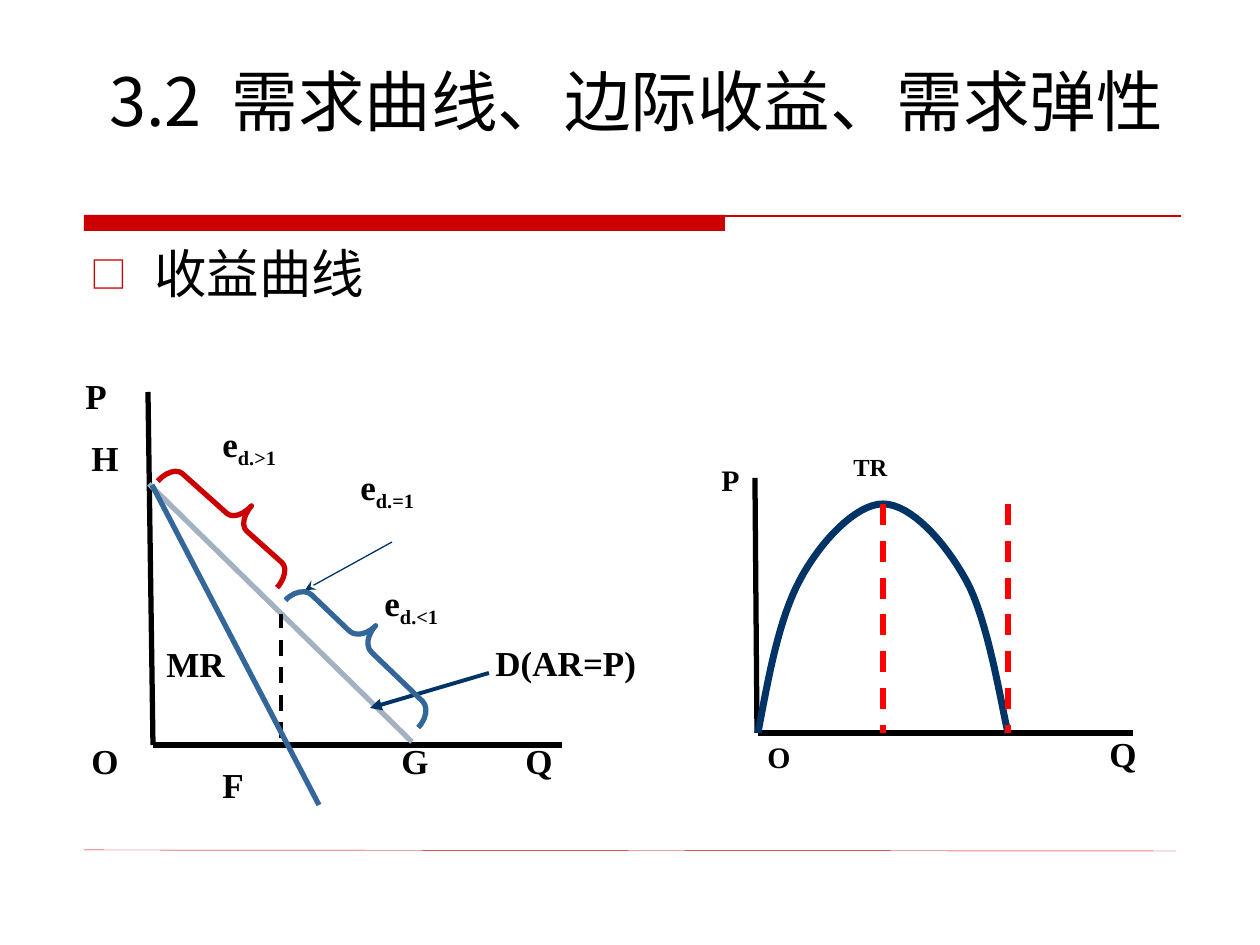
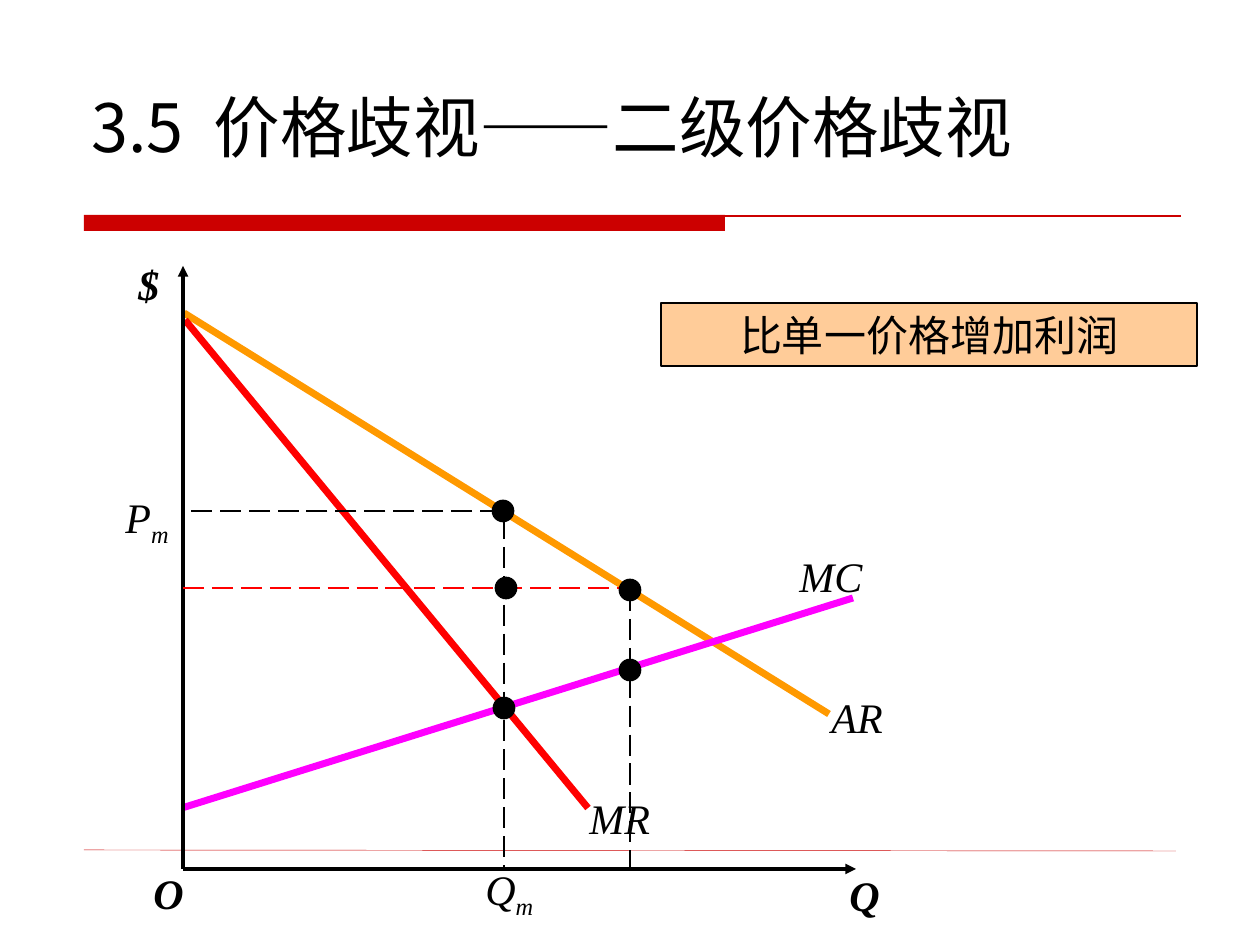
"""Build two economics slides: revenue curves and second-degree price discrimination."""
from lxml.etree import SubElement
from pptx import Presentation
from pptx.dml.color import RGBColor
from pptx.enum.dml import MSO_LINE
from pptx.enum.shapes import MSO_CONNECTOR, MSO_SHAPE
from pptx.enum.text import MSO_ANCHOR, PP_ALIGN
from pptx.oxml.ns import qn
from pptx.util import Emu, Pt

BLACK = RGBColor(0, 0, 0)
CRIMSON = RGBColor(0xCC, 0, 0)
RED = RGBColor(0xFF, 0, 0)
NAVY = RGBColor(0, 0x33, 0x66)
STEEL = RGBColor(0x33, 0x66, 0x99)
GREY_BLUE = RGBColor(0xA3, 0xB2, 0xC1)
ORANGE = RGBColor(0xFF, 0x99, 0)
MAGENTA = RGBColor(0xFF, 0, 0xFF)
PEACH = RGBColor(0xFF, 0xCC, 0x99)
SANS, SERIF = "Noto Sans CJK SC", "Times New Roman"
DASH, LONG_DASH = MSO_LINE.DASH, MSO_LINE.LONG_DASH

TITLE = {"size": Pt(38), "name": SANS}
BODY = {"size": Pt(30), "name": SANS}
BOLD = {"size": Pt(20), "name": SERIF, "bold": True}
BOLD_17 = BOLD | {"size": Pt(17)}
BOLD_14 = BOLD | {"size": Pt(14)}
ITALIC = {"size": Pt(24), "name": SERIF, "italic": True}
BOLD_ITALIC = ITALIC | {"bold": True}
CALLOUT = {"size": Pt(24), "name": SERIF}

REVENUE = {
    "title": ("3.2", "需求曲线、边际收益、需求弹性", (97, 54, 1090, 173), MSO_ANCHOR.TOP),
    "lines": [
        ((148, 392), (153, 745), BLACK, 3, {}),
        ((153, 745), (562, 745), BLACK, 3, {}),
        ((149, 484), (412, 742), GREY_BLUE, 3, {}),
        ((281, 738), (281, 614), BLACK, 2.25, {"dash": DASH}),
        ((152, 485), (319, 805), STEEL, 3, {}),
        ((392, 542), (305, 590), NAVY, 0.75, {"tail": "stealth"}),
        ((489, 673), (370, 708), NAVY, 2.25, {"tail": "triangle"}),
        ((755, 478), (757, 733), BLACK, 3, {}),
        ((758, 733), (1133, 733), BLACK, 3, {}),
    ],
    "labels": [
        ("P", "", 73, 368, BOLD), ("H", "", 79, 430, BOLD),
        ("O", "", 79, 733, BOLD), ("Q", "", 513, 733, BOLD),
        ("F", "", 210, 757, BOLD), ("G", "", 389, 733, BOLD),
        ("MR", "", 154, 636, BOLD), ("D(AR=P)", "", 483, 635, BOLD),
        ("e", "d.>1", 210, 416, BOLD), ("e", "d.=1", 348, 459, BOLD),
        ("e", "d.<1", 372, 575, BOLD),
        ("P", "", 709, 456, BOLD_17), ("O", "", 755, 733, BOLD_17),
        ("Q", "", 1097, 726, BOLD), ("TR", "", 841, 446, BOLD_14),
    ],
}
BRACES = [
    ((210, 438, 44, 160), 131.8, (0.3, 0.46), CRIMSON),
    ((345, 556, 44, 184), 133.8, (0.35, 0.55), STEEL),
]
TOTAL_REVENUE = [
    (758, 733), (769, 675), (779, 619), (800, 580), (820, 542), (856, 504), (883, 504),
    (911, 504), (945, 542), (966, 580), (988, 619), (1002, 708), (1008, 733),
]
REVENUE_MARKS = [((x, 504), (x, 733), RED, 3, {"dash": DASH}) for x in (883, 1008)]

PRICING = {
    "title": ("3.5", "价格歧视——二级价格歧视", (79, 42, 1102, 168), MSO_ANCHOR.MIDDLE),
    "lines": [
        ((184, 313), (829, 714), ORANGE, 4, {}),
        ((185, 320), (588, 808), RED, 4, {}),
        ((182, 808), (853, 598), MAGENTA, 4, {}),
        ((183, 869), (183, 266), BLACK, 2, {"tail": "triangle"}),
        ((183, 869), (856, 869), BLACK, 2, {"tail": "triangle"}),
        ((504, 518), (504, 867), BLACK, 1.5, {"dash": LONG_DASH}),
        ((501, 511), (183, 511), BLACK, 1.5, {"dash": LONG_DASH}),
        ((183, 588), (629, 588), RED, 1.5, {"dash": LONG_DASH}),
        ((630, 590), (630, 868), BLACK, 1.5, {"dash": LONG_DASH}),
    ],
    "labels": [
        ("AR", "", 819, 685, ITALIC), ("MR", "", 577, 786, ITALIC),
        ("MC", "", 787, 544, ITALIC), ("P", "m", 113, 485, ITALIC),
        ("Q", "m", 473, 857, ITALIC), ("Q", "", 837, 863, BOLD_ITALIC),
        ("O", "", 141, 861, BOLD_ITALIC), ("$", "", 126, 252, BOLD_ITALIC),
    ],
}
DOTS = [(503, 511), (504, 708), (630, 590), (506, 588), (630, 670)]
DOT_SIZE = 21


def px(value):
    return Emu(round(value * 914400 / 126))


def scaled(*values):
    return [px(value) for value in values]


def add_span(para, text, style, **attributes):
    span = para.add_run()
    span.text = text
    span.font.color.rgb = BLACK
    for name, value in style.items():
        setattr(span.font, name, value)
    properties = span._r.get_or_add_rPr()
    SubElement(properties, qn("a:ea")).set("typeface", SANS)
    for name, value in attributes.items():
        properties.set(name, value)


def add_text(page, area, anchor=MSO_ANCHOR.TOP):
    frame = page.shapes.add_textbox(*scaled(*area)).text_frame
    frame.word_wrap = True
    frame.vertical_anchor = anchor
    return frame.paragraphs[0]


def add_line(page, start, end, color, width, dash=None, tail=None):
    line = page.shapes.add_connector(MSO_CONNECTOR.STRAIGHT, *scaled(*start, *end))
    line.line.color.rgb = color
    line.line.width = Pt(width)
    if dash:
        line.line.dash_style = dash
    if tail:
        SubElement(line.line._get_or_add_ln(), qn("a:tailEnd")).set("type", tail)
    SubElement(line._element.spPr, qn("a:effectLst"))


def paint(shape, fill=None, line=None, width=1):
    shape.shadow.inherit = False
    if fill is None:
        shape.fill.background()
    else:
        shape.fill.solid()
        shape.fill.fore_color.rgb = fill
    if line is None:
        shape.line.fill.background()
    else:
        shape.line.color.rgb = line
        shape.line.width = Pt(width)
    return shape


def add_page(deck, content):
    page = deck.slides.add_slide(deck.slide_layouts[6])
    paint(page.shapes.add_shape(MSO_SHAPE.RECTANGLE, *scaled(84, 215, 641, 16)), CRIMSON)
    add_line(page, (84, 216), (1181, 216), CRIMSON, 0.75)
    add_line(page, (84, 850), (1176, 851), CRIMSON, 0.25)
    number, heading, area, anchor = content["title"]
    para = add_text(page, area, anchor)
    add_span(para, number, TITLE)
    add_span(para, " ", TITLE, spc="850")
    add_span(para, heading, TITLE)
    for start, end, color, width, options in content["lines"]:
        add_line(page, start, end, color, width, **options)
    for text, subscript, left, top, style in content["labels"]:
        para = add_text(page, (left, top, 185, 62))
        add_span(para, text, style)
        if subscript:
            add_span(para, subscript, style, baseline="-25000")
    return page


def add_bullet(page, text):
    para = add_text(page, (78, 235, 1102, 80))
    properties = para._p.get_or_add_pPr()
    properties.set("marL", str(px(64)))
    properties.set("indent", str(px(-64)))
    color = SubElement(properties, qn("a:buClr"))
    SubElement(color, qn("a:srgbClr")).set("val", str(CRIMSON))
    SubElement(properties, qn("a:buSzPct")).set("val", "70000")
    SubElement(properties, qn("a:buFont")).set("typeface", SANS)
    SubElement(properties, qn("a:buChar")).set("char", "□")
    add_span(para, text, BODY)


def bezier(points, steps=16):
    for first in range(0, len(points) - 1, 3):
        a, b, c, d = points[first:first + 4]
        for step in range(1, steps + 1):
            t = step / steps
            weights = ((1 - t) ** 3, 3 * t * (1 - t) ** 2, 3 * t * t * (1 - t), t ** 3)
            yield tuple(
                px(sum(w * p[axis] for w, p in zip(weights, (a, b, c, d))))
                for axis in (0, 1)
            )


def build_revenue(deck):
    page = add_page(deck, REVENUE)
    add_bullet(page, "收益曲线")
    for area, angle, adjustments, color in BRACES:
        brace = paint(page.shapes.add_shape(MSO_SHAPE.LEFT_BRACE, *scaled(*area)), None, color, 3)
        brace.rotation = angle
        for index, value in enumerate(adjustments):
            brace.adjustments[index] = value
    outline = page.shapes.build_freeform(*scaled(*TOTAL_REVENUE[0]))
    outline.add_line_segments(list(bezier(TOTAL_REVENUE)), close=False)
    paint(outline.convert_to_shape(), None, NAVY, 4)
    for mark in REVENUE_MARKS:
        add_line(page, *mark[:4], **mark[4])


def build_pricing(deck):
    page = add_page(deck, PRICING)
    for x, y in DOTS:
        corner = (x - DOT_SIZE / 2, y - DOT_SIZE / 2)
        dot = page.shapes.add_shape(MSO_SHAPE.OVAL, *scaled(*corner, DOT_SIZE, DOT_SIZE))
        paint(dot, BLACK, BLACK)
    callout = page.shapes.add_shape(MSO_SHAPE.RECTANGLE, *scaled(661, 303, 536, 63))
    paint(callout, PEACH, BLACK)
    callout.text_frame.vertical_anchor = MSO_ANCHOR.MIDDLE
    para = callout.text_frame.paragraphs[0]
    para.alignment = PP_ALIGN.CENTER
    add_span(para, "比单一价格增加利润", CALLOUT)


def main():
    deck = Presentation()
    deck.slide_width, deck.slide_height = scaled(1260, 945)
    build_revenue(deck)
    build_pricing(deck)
    deck.save("out.pptx")


if __name__ == "__main__":
    main()
